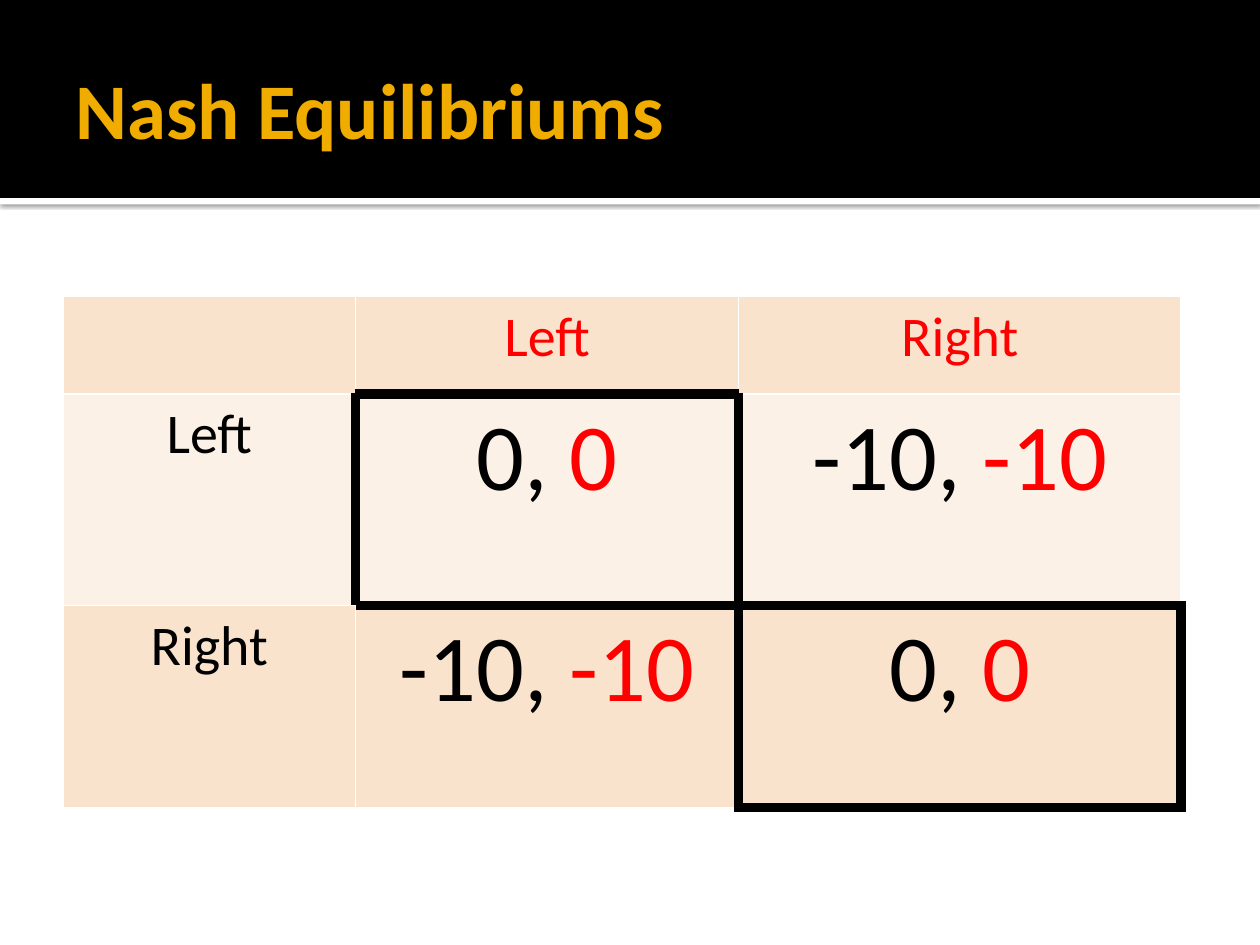
from lxml.etree import SubElement
from pptx import Presentation
from pptx.dml.color import RGBColor
from pptx.enum.shapes import MSO_SHAPE
from pptx.enum.text import MSO_ANCHOR, PP_ALIGN
from pptx.oxml import parse_xml
from pptx.oxml.ns import nsdecls, qn
from pptx.util import Cm, Pt

COLORS = {
    "black": "000000",
    "white": "FFFFFF",
    "gold": "F0AD00",
    "red": "FF0000",
    "band_dark": "F9E3CC",
    "band_light": "FCF1E7",
}
FONT = "Calibri"


def rgb(name):
    return RGBColor.from_string(COLORS[name])


def set_border(cell, side, color, width):
    line = SubElement(cell._tc.get_or_add_tcPr(), qn(f"a:ln{side}"), w=str(Pt(width)))
    fill = SubElement(line, qn("a:solidFill"))
    SubElement(fill, qn("a:srgbClr"), val=COLORS[color])


presentation = Presentation()
presentation.slide_width = Cm(25.4)
presentation.slide_height = Cm(19.05)
slide = presentation.slides.add_slide(presentation.slide_layouts[6])

# Header band with a shadowed white strip below it
for top, height, color in [(3.99, 0.13, "white"), (0, 3.99, "black")]:
    shape = slide.shapes.add_shape(MSO_SHAPE.RECTANGLE, 0, Cm(top), Cm(25.4), Cm(height))
    shape.shadow.inherit = False
    shape.fill.solid()
    shape.fill.fore_color.rgb = rgb(color)
    shape.line.fill.background()
    if color == "white":
        effects = shape._element.spPr.find(qn("a:effectLst"))
        effects.append(parse_xml(
            f'<a:outerShdw {nsdecls("a")} blurRad="{Pt(2.5)}" dist="{Pt(0.8)}" dir="5400000">'
            f'<a:srgbClr val="{COLORS["black"]}"><a:alpha val="60000"/></a:srgbClr>'
            "</a:outerShdw>"))

# Title
title = slide.shapes.add_textbox(Cm(1.27), Cm(0.43), Cm(22.86), Cm(3.48))
frame = title.text_frame
frame.word_wrap = True
frame.vertical_anchor = MSO_ANCHOR.MIDDLE
frame.margin_right = Cm(0.13)
paragraph = frame.paragraphs[0]
paragraph.text = "Nash Equilibriums"
paragraph.font.name = FONT
paragraph.font.size = Pt(45)
paragraph.font.bold = True
paragraph.font.color.rgb = rgb("gold")

# Payoff matrix: each cell is a list of (text, color) runs
match = [("0, ", "black"), ("0", "red")]
mismatch = [("-10, ", "black"), ("-10", "red")]
payoffs = [
    [[], [("Left", "red")], [("Right", "red")]],
    [[("Left", "black")], match, mismatch],
    [[("Right", "black")], mismatch, match],
]
equilibria = {(1, 1), (2, 2)}
neighbours = {"L": (0, -1), "R": (0, 1), "T": (-1, 0), "B": (1, 0)}

table = slide.shapes.add_table(3, 3, Cm(1.27), Cm(5.98), Cm(22.54), Cm(10.3)).table
for column, width in zip(table.columns, (5.9, 7.72, 8.92)):
    column.width = Cm(width)
for row, height in zip(table.rows, (1.96, 4.27, 4.07)):
    row.height = Cm(height)

for r, row in enumerate(payoffs):
    for c, runs in enumerate(row):
        cell = table.cell(r, c)
        paragraph = cell.text_frame.paragraphs[0]
        paragraph.alignment = PP_ALIGN.CENTER
        paragraph.font.name = FONT
        paragraph.font.size = Pt(54 if r and c else 32)
        paragraph.font.bold = False
        for text, color in runs:
            run = paragraph.add_run()
            run.text = text
            run.font.color.rgb = rgb(color)
        # Thick black edges surround every equilibrium
        for side, (down, across) in neighbours.items():
            thick = equilibria & {(r, c), (r + down, c + across)}
            set_border(cell, side, "black" if thick else "white", 6 if thick else 1)
        cell.fill.solid()
        cell.fill.fore_color.rgb = rgb("band_light" if r == 1 else "band_dark")

presentation.save("out.pptx")
